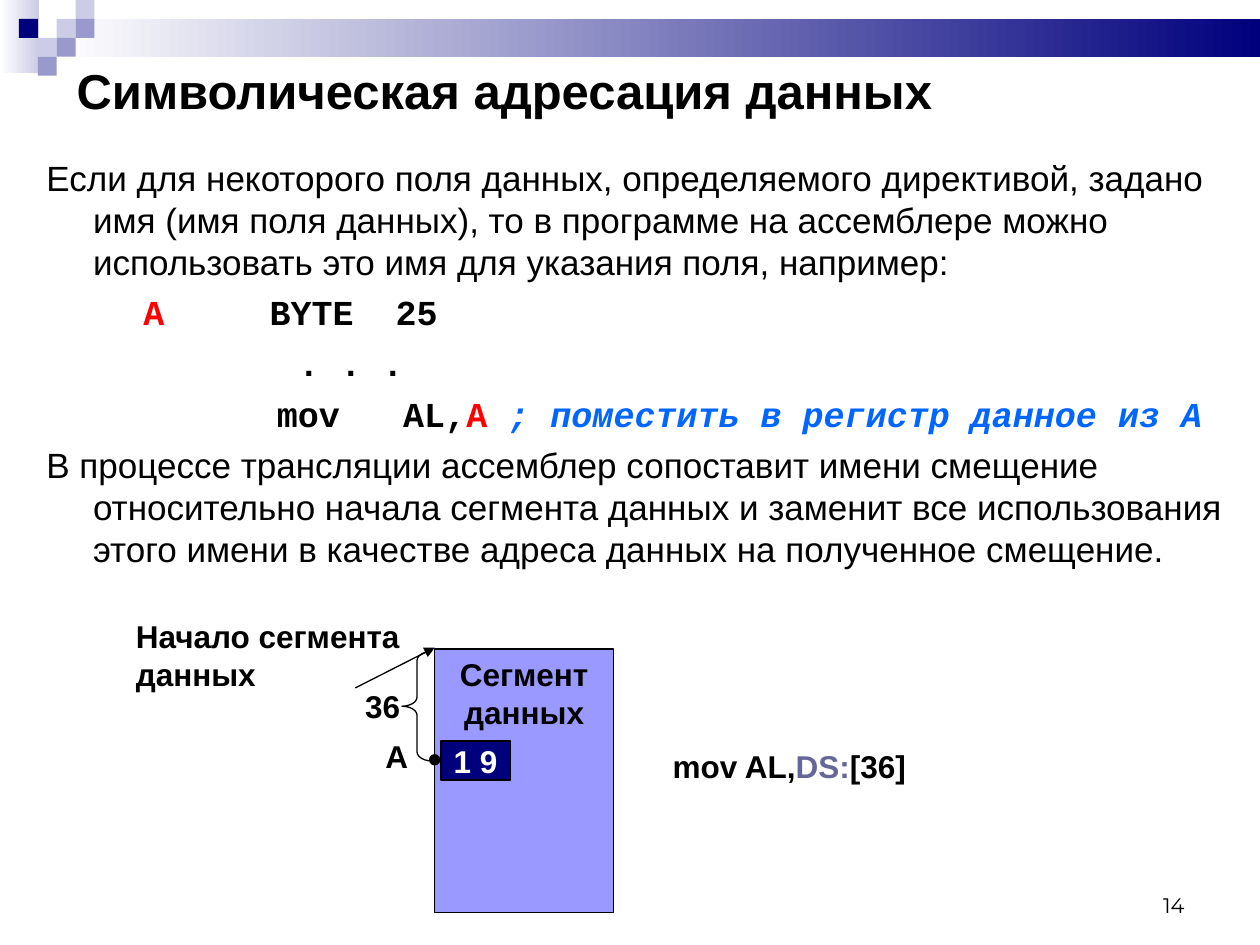
"""Build the slide on symbolic addressing of data in assembler."""
from lxml.etree import SubElement
from pptx import Presentation
from pptx.dml.color import RGBColor
from pptx.enum.shapes import MSO_CONNECTOR, MSO_SHAPE
from pptx.enum.text import MSO_ANCHOR, PP_ALIGN
from pptx.oxml.ns import qn
from pptx.util import Inches, Pt

THEME = {
    "navy": "00007D", "lilac": "9999CC", "pale": "CCCCE6", "mist": "FFFFFF",
    "segment": "9999FF", "ink": "000000", "name": "FF0000",
    "comment": "0066FF", "register": "666699",
    "sans": "Arial", "mono": "Courier New", "digits": "Montserrat",
    "title": 28, "body": 20, "label": 18, "number": 12,
}

deck = Presentation()
deck.slide_width, deck.slide_height = Inches(10), Inches(7.5)
slide = deck.slides.add_slide(deck.slide_layouts[6])
COLUMN, ROW = deck.slide_width / 100, deck.slide_height / 75


def block(preset, left, top, width, height, fill=None, outline=None):
    part = slide.shapes.add_shape(preset, *(
        round(n * unit) for n, unit in
        zip((left, top, width, height), (COLUMN, ROW, COLUMN, ROW))))
    part.shadow.inherit = False
    if fill:
        part.fill.solid()
        part.fill.fore_color.rgb = RGBColor.from_string(THEME[fill])
    else:
        part.fill.background()
    if outline:
        part.line.color.rgb = RGBColor.from_string(THEME[outline])
        part.line.width = Pt(0.75)
    else:
        part.line.fill.background()
    return part


def write(frame, paragraphs, size, bold=True, align=PP_ALIGN.LEFT,
          anchor=MSO_ANCHOR.TOP, font="sans"):
    frame.word_wrap = True
    frame.vertical_anchor = anchor
    for i, runs in enumerate(paragraphs):
        paragraph = frame.paragraphs[0] if i == 0 else frame.add_paragraph()
        paragraph.alignment = align
        for wording, color in runs:
            run = paragraph.add_run()
            run.text = wording
            run.font.name = THEME[font]
            run.font.size = Pt(THEME[size])
            run.font.bold = bold
            run.font.color.rgb = RGBColor.from_string(THEME[color])


for left, top, width, height, start in [(0, 0, 3.1, 5.8, "pale"),
                                        (4.5, 1.5, 95.5, 3, "navy")]:
    band = block(MSO_SHAPE.RECTANGLE, left, top, width, height, "mist")
    band.fill.gradient()
    band.fill.gradient_angle = 180
    for stop, color, position in zip(band.fill.gradient_stops, (start, "mist"), (0, 1)):
        stop.color.rgb = RGBColor.from_string(THEME[color])
        stop.position = position

TILE = 1.5
for column, row, color in [(3, 1, "pale"), (4, 0, "pale"), (4, 1, "lilac"),
                           (2, 2, "pale"), (1, 1, "navy"), (3, 2, "lilac"),
                           (2, 3, "lilac")]:
    block(MSO_SHAPE.RECTANGLE, column * TILE, row * TILE, TILE, TILE, color)

number = block(MSO_SHAPE.RECTANGLE, 71.7, 68.3, 23.3, 5)
write(number.text_frame, [[("14", "ink")]], "number", False, PP_ALIGN.RIGHT,
      MSO_ANCHOR.BOTTOM, "digits")
title = block(MSO_SHAPE.RECTANGLE, 5.1, 4.3, 94.9, 5.7)
write(title.text_frame, [[("Символическая адресация данных", "ink")]], "title",
      anchor=MSO_ANCHOR.MIDDLE)

body = block(MSO_SHAPE.RECTANGLE, 2.7, 11.9, 97.3, 63.1).text_frame
write(body, [
    [("Если для некоторого поля данных, определяемого директивой, задано имя "
      "(имя поля данных), то в программе на ассемблере можно использовать это "
      "имя для указания поля, например:", "ink")],
    [("A", "name"), ("     BYTE  25", "ink")],
    [(". . .", "ink")],
    [("mov   AL,", "ink"), ("A ", "name"),
     ("; поместить в регистр данное из A", "comment")],
    [("В процессе трансляции ассемблер сопоставит имени смещение относительно "
      "начала сегмента данных и заменит все использования этого имени в "
      "качестве адреса данных на полученное смещение.", "ink")],
], "body", False)
HANG = 3.7
for i, (paragraph, margin) in enumerate(zip(body.paragraphs, (HANG, 7.7, 20, 18.3, HANG))):
    is_code = margin != HANG
    layout = paragraph._p.get_or_add_pPr()
    layout.set("marL", str(round(margin * COLUMN)))
    layout.set("indent", str(0 if is_code else round(-HANG * COLUMN)))
    if i:
        paragraph.space_before = Pt(5)
    if is_code:
        for run in paragraph.runs:
            run.font.name = THEME["mono"]
            run.font.bold = True
body.paragraphs[3].runs[-1].font.italic = True

segment = block(MSO_SHAPE.RECTANGLE, 34.5, 51.5, 14.2, 20.9, "segment", "ink")
write(segment.text_frame, [[("Сегмент", "ink")], [("данных", "ink")]], "label",
      align=PP_ALIGN.CENTER)

pointer = slide.shapes.add_connector(
    MSO_CONNECTOR.STRAIGHT, round(28.2 * COLUMN), round(54.6 * ROW),
    round(34.5 * COLUMN), round(51.4 * ROW))
pointer.line.color.rgb = RGBColor.from_string(THEME["ink"])
pointer.line.width = Pt(0.75)
SubElement(pointer.line._get_or_add_ln(), qn("a:tailEnd"), type="triangle")
SubElement(pointer._element.spPr, qn("a:effectLst"))

for left, top, width, height, lines in [
    (9.8, 48.5, 23.6, 7, [[("Начало сегмента", "ink")], [("данных", "ink")]]),
    (29.6, 58, 3.8, 4, [[("A", "ink")]]),
    (52.4, 58.8, 23, 4, [[("mov AL,", "ink"), ("DS:", "register"), ("[36]", "ink")]]),
    (28, 54, 7.1, 4, [[("36", "ink")]]),
]:
    label = block(MSO_SHAPE.RECTANGLE, left, top, width, height)
    write(label.text_frame, lines, "label")

block(MSO_SHAPE.OVAL, 34.1, 59.9, 0.8, 0.8, "ink", "ink")
offset = block(MSO_SHAPE.LEFT_BRACE, 31.9, 51.7, 2.4, 8.7, outline="ink")
offset.adjustments[0] = 0.3
stored = block(MSO_SHAPE.RECTANGLE, 35, 58.8, 5.5, 3.1, "navy", "ink")
write(stored.text_frame, [[("1 9", "mist")]], "label", align=PP_ALIGN.CENTER,
      anchor=MSO_ANCHOR.MIDDLE)

deck.save("out.pptx")
